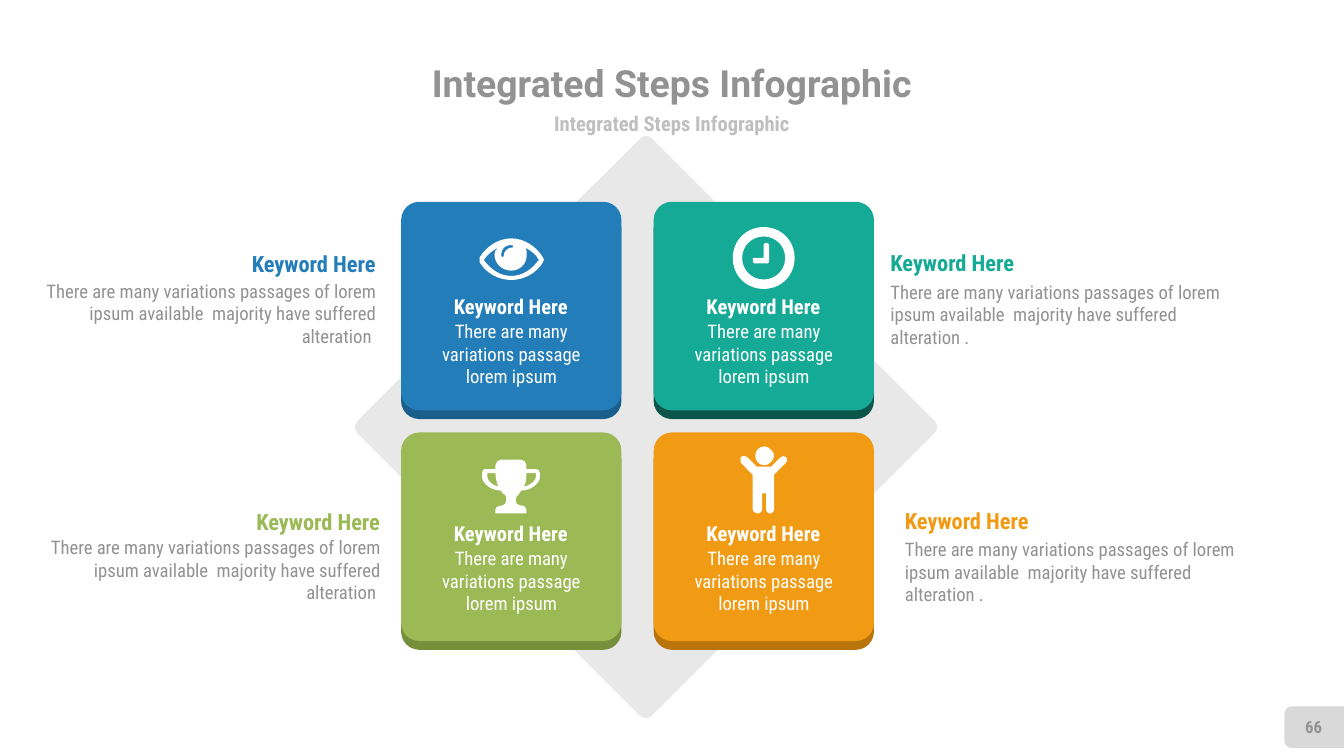
from lxml.etree import SubElement
from pptx import Presentation
from pptx.dml.color import RGBColor
from pptx.enum.shapes import MSO_SHAPE
from pptx.enum.text import MSO_ANCHOR, PP_ALIGN
from pptx.oxml.ns import qn
from pptx.util import Pt

COLORS = {
    "white": "FFFFFF", "tab": "D9D9D9", "diamond": "E8E8E8",
    "text": "929292", "subtitle": "BFBFBF",
    "blue": "237DB9", "blue_edge": "1A5E8B",
    "teal": "15AA96", "teal_edge": "0B554B",
    "orange": "F19B14", "orange_edge": "B9750B",
    "green": "9BB955", "green_edge": "768F3B",
}
ICON_UNIT = Pt(0.72)

EYE = [
    [(47, 18), (42, 26, 33, 31, 23.5, 31), (14, 31, 5, 26, 0, 18), (0, 17, 0, 15, 0, 14),
     (5, 6, 14, 0, 23.5, 0), (33, 0, 42, 6, 47, 14), (48, 15, 48, 17, 47, 18)],
    [(34, 7), (35, 8, 35, 10, 35, 12), (35, 19, 30, 24, 23.5, 24), (17, 24, 11, 19, 11, 12),
     (11, 10, 12, 8, 14, 7), (9, 9, 6, 12, 3, 16), (8, 23, 15, 28, 23.5, 28),
     (32, 28, 39, 23, 44, 16), (42, 12, 38, 9, 34, 7)],
    [(23, 5), (19, 5, 16, 8, 16, 12), (16, 13, 16, 14, 17, 14), (18, 14, 18, 13, 18, 12),
     (18, 10, 21, 7, 23, 7), (24, 7, 25, 7, 25, 6), (25, 5, 24, 5, 23, 5)],
]
CLOCK = [
    [(23, 46), (10, 46, 0, 36, 0, 23), (0, 10, 10, 0, 23, 0),
     (36, 0, 46, 10, 46, 23), (46, 36, 36, 46, 23, 46)],
    [(23, 7), (14, 7, 7, 14, 7, 23), (7, 32, 14, 39, 23, 39),
     (32, 39, 39, 32, 39, 23), (39, 14, 32, 7, 23, 7)],
    [(27, 26), (27, 26, 26, 27, 26, 27), (16, 27), (16, 27, 15, 26, 15, 26), (15, 23),
     (15, 23, 16, 23, 16, 23), (23, 23), (23, 13), (23, 12, 24, 12, 24, 12), (26, 12),
     (26, 12, 27, 12, 27, 13)],
]
TROPHY = [
    [(43, 13), (43, 17, 37, 23, 29, 23), (28, 25, 27, 26, 27, 26), (26, 27, 25, 28, 25, 30),
     (25, 32, 26, 34, 28, 34), (31, 34, 33, 35, 33, 37), (33, 40), (10, 40), (10, 37),
     (10, 35, 13, 34, 15, 34), (17, 34, 18, 32, 18, 30), (18, 28, 18, 27, 17, 26),
     (16, 26, 15, 25, 14, 23), (6, 23, 0, 17, 0, 13), (0, 10), (0, 8, 1, 7, 2, 7),
     (10, 7), (10, 4), (10, 2, 12, 0, 14, 0), (29, 0), (31, 0, 33, 2, 33, 4),
     (33, 7), (40, 7), (42, 7, 43, 8, 43, 10)],
    [(10, 10), (4, 10), (4, 13), (4, 15, 7, 19, 12, 20), (11, 17, 10, 14, 10, 10)],
    [(40, 10), (33, 10), (33, 14, 33, 17, 31, 20), (37, 19, 40, 15, 40, 13)],
]
PERSON = [
    [(25, 21), (25, 47), (25, 48, 24, 50, 22, 50), (20, 50, 19, 48, 19, 47), (19, 35),
     (16, 35), (16, 47), (16, 48, 15, 50, 13, 50), (11, 50, 9, 48, 9, 47), (9, 21),
     (0, 12), (0, 11, 0, 9, 0, 8), (1, 7, 4, 7, 5, 8), (12, 15), (23, 15),
     (30, 8), (31, 7, 33, 7, 34, 8), (35, 9, 35, 11, 34, 12)],
    [(18, 14), (13, 14, 11, 10, 11, 7), (11, 4, 13, 0, 18, 0),
     (21, 0, 25, 4, 25, 7), (25, 10, 21, 14, 18, 14)],
]

presentation = Presentation()
presentation.slide_width = Pt(720)
presentation.slide_height = Pt(405)
slide = presentation.slides.add_slide(presentation.slide_layouts[6])


def add_text(text, left, top, width, height, size=10, color="text", bold=False,
             font="Roboto Condensed", align=PP_ALIGN.CENTER, anchor=MSO_ANCHOR.TOP, wrap=True):
    box = slide.shapes.add_textbox(Pt(left), Pt(top), Pt(width), Pt(height))
    frame = box.text_frame
    frame.margin_left = frame.margin_right = frame.margin_top = frame.margin_bottom = 0
    frame.word_wrap = wrap
    frame.vertical_anchor = anchor
    paragraph = frame.paragraphs[0]
    paragraph.alignment = align
    run = paragraph.add_run()
    run.text = text
    run.font.name = font
    run.font.size = Pt(size)
    run.font.bold = bold
    run.font.color.rgb = RGBColor.from_string(COLORS[color])


def style_shape(shape, color, corner=None, rotation=0):
    shape.shadow.inherit = False
    shape.fill.solid()
    shape.fill.fore_color.rgb = RGBColor.from_string(COLORS[color])
    shape.line.fill.background()
    shape.rotation = rotation
    if corner is not None:
        shape.adjustments[0] = corner


page_tab = slide.shapes.add_shape(
    MSO_SHAPE.ROUND_2_SAME_RECTANGLE, Pt(692.9), Pt(373.7), Pt(22.3), Pt(31.8))
style_shape(page_tab, "tab", rotation=270)
add_text("Integrated Steps Infographic", 138, 30.5, 444, 28, size=20, bold=True,
         font="Roboto", anchor=MSO_ANCHOR.MIDDLE, wrap=False)
add_text("Integrated Steps Infographic", 198, 58.1, 324, 16, size=11, color="subtitle",
         bold=True, anchor=MSO_ANCHOR.MIDDLE, wrap=False)
add_text("66", 688.8, 378.7, 30, 21.6, size=9, bold=True, anchor=MSO_ANCHOR.MIDDLE)

diamond = slide.shapes.add_shape(
    MSO_SHAPE.ROUNDED_RECTANGLE, Pt(234.5), Pt(117.2), Pt(223.2), Pt(223.2))
style_shape(diamond, "diamond", corner=0.02, rotation=315)

CARD_WIDTH, CARD_HEIGHT, EDGE_DEPTH = 118, 111.7, 4.7
cards = [
    ("blue", 214.9, 108.1, 157.7, EYE, 257, 127.7, 47.75, 31),
    ("teal", 350.2, 108.1, 157.7, CLOCK, 392.6, 121.7, 46, 46),
    ("orange", 350.2, 231.7, 279.2, PERSON, 396.7, 239.2, 34.75, 50),
    ("green", 214.9, 231.7, 279.2, TROPHY, 258.3, 246.3, 43, 40),
]
for color, left, top, label_top, contours, icon_left, icon_top, icon_width, icon_height in cards:
    for fill, offset in ((color + "_edge", EDGE_DEPTH), (color, 0)):
        card = slide.shapes.add_shape(MSO_SHAPE.ROUNDED_RECTANGLE, Pt(left), Pt(top + offset),
                                      Pt(CARD_WIDTH), Pt(CARD_HEIGHT))
        style_shape(card, fill, corner=0.087)

    add_text("There are many variations passage lorem ipsum", left + 12, label_top + 13.9,
             94, 36, color="white")
    add_text("Keyword Here", left + 21.4, label_top, 74.8, 13.7, size=11, color="white",
             bold=True, wrap=False)

    builder = slide.shapes.build_freeform(scale=ICON_UNIT / 100)
    right, bottom = icon_width * 100, icon_height * 100
    builder.add_line_segments([(right, 0), (right, bottom), (0, bottom)])
    icon = builder.convert_to_shape(Pt(icon_left), Pt(icon_top))
    style_shape(icon, "white")
    outline = next(icon.element.iter(qn("a:path")))
    for command in list(outline):
        outline.remove(command)
    for contour in contours:
        for index, segment in enumerate(contour):
            tag = "a:moveTo" if index == 0 else "a:lnTo" if len(segment) == 2 else "a:cubicBezTo"
            command = SubElement(outline, qn(tag))
            for x, y in zip(segment[::2], segment[1::2]):
                SubElement(command, qn("a:pt"), x=str(round(x * 100)), y=str(round(y * 100)))
        SubElement(outline, qn("a:close"))

SIDE_WIDTH, KEYWORD_WIDTH = 179.3, 81.4
side_text = "There are many variations passages of lorem ipsum available  majority have suffered alteration "
sides = [
    ("teal", 477, 133.5, 150.5, PP_ALIGN.LEFT),
    ("blue", 22, 133.8, 149.9, PP_ALIGN.RIGHT),
    ("green", 24.4, 272, 287.2, PP_ALIGN.RIGHT),
    ("orange", 484.8, 271.5, 288.2, PP_ALIGN.LEFT),
]
for color, left, keyword_top, text_top, align in sides:
    on_left = align == PP_ALIGN.RIGHT
    keyword_left = left + SIDE_WIDTH - KEYWORD_WIDTH if on_left else left
    add_text(side_text if on_left else side_text + ".", left, text_top, SIDE_WIDTH, 36, align=align)
    add_text("Keyword Here", keyword_left, keyword_top, KEYWORD_WIDTH, 14.4, size=12,
             color=color, bold=True, align=align, wrap=False)

presentation.save("out.pptx")
